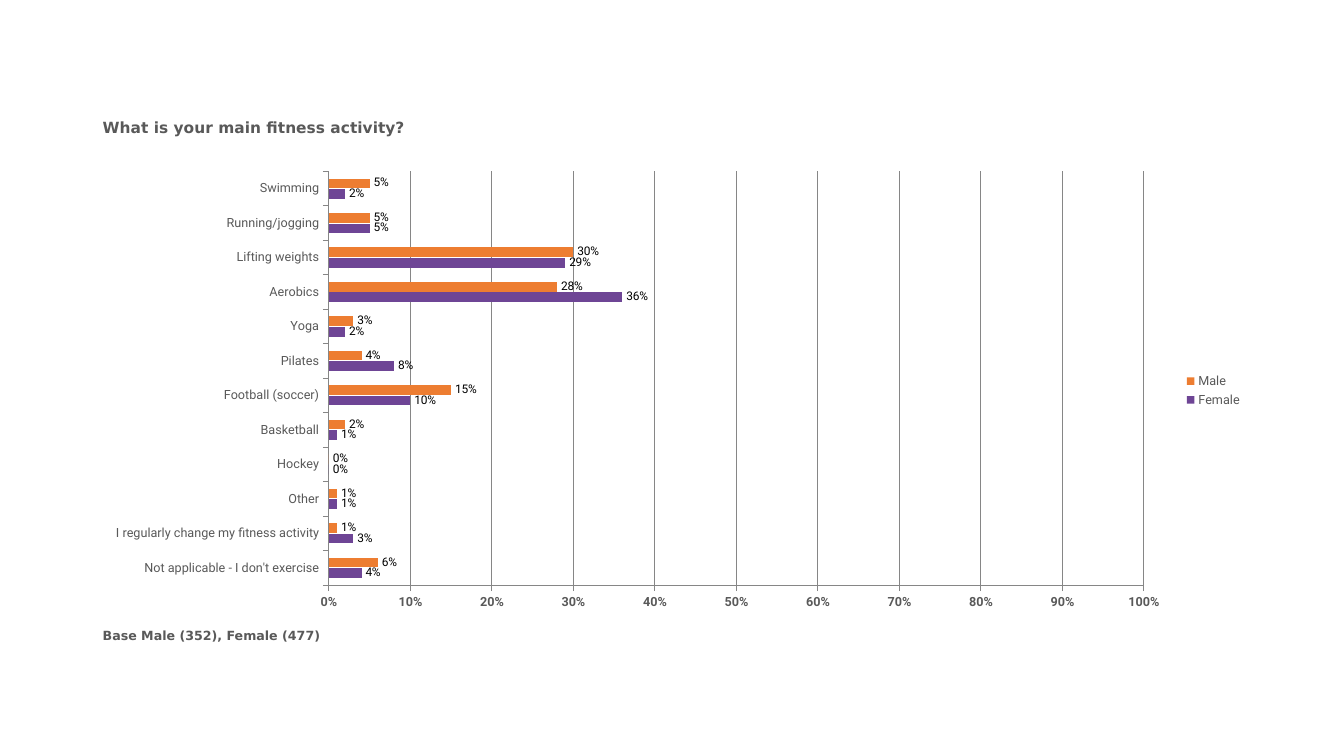
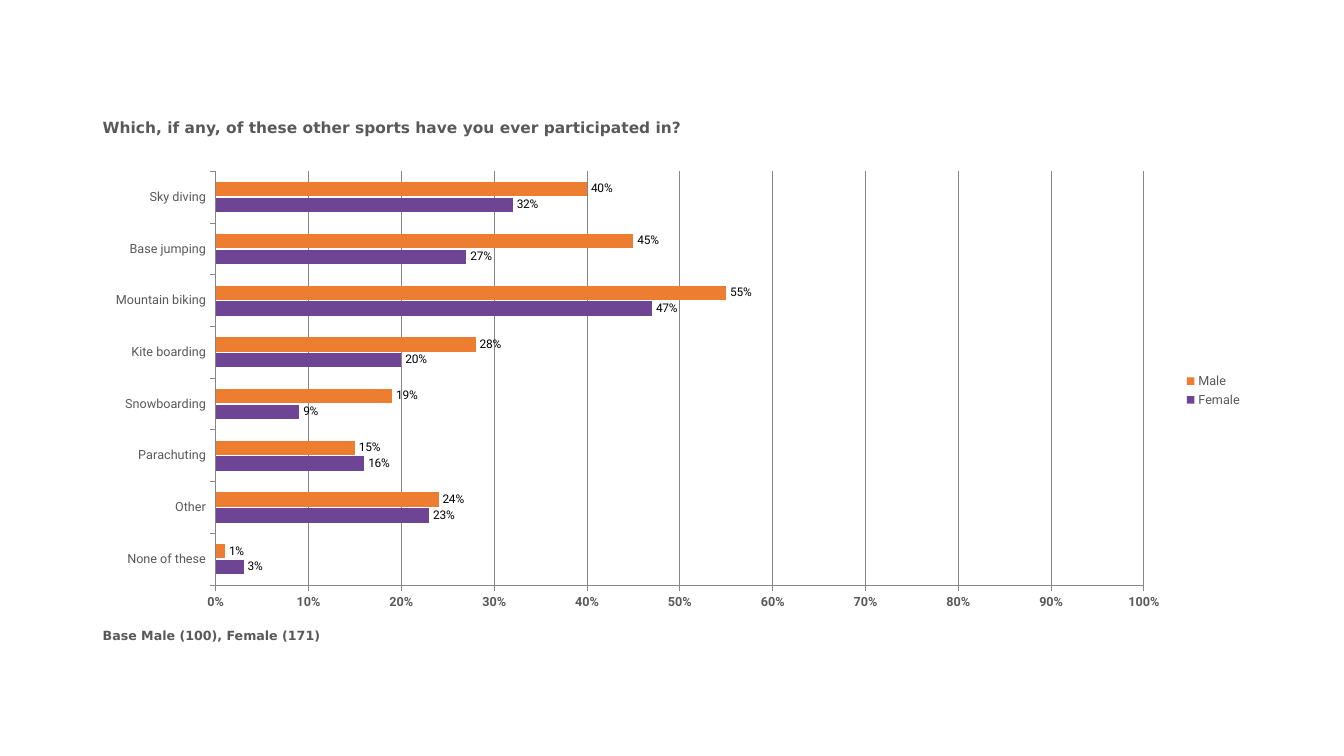
from pptx import Presentation
from pptx.chart.data import CategoryChartData
from pptx.dml.color import RGBColor
from pptx.enum.chart import (XL_CHART_TYPE, XL_LABEL_POSITION,
                             XL_LEGEND_POSITION, XL_TICK_LABEL_POSITION,
                             XL_TICK_MARK)
from pptx.util import Inches, Pt

BAR_CLUSTERED = XL_CHART_TYPE.BAR_CLUSTERED
LEGEND_RIGHT = XL_LEGEND_POSITION.RIGHT
LABELS_LOW = XL_TICK_LABEL_POSITION.LOW
OUTSIDE_END = XL_LABEL_POSITION.OUTSIDE_END
TICK_OUTSIDE = XL_TICK_MARK.OUTSIDE
TICK_NONE = XL_TICK_MARK.NONE

# Shared style
GREY = RGBColor(0x59, 0x59, 0x59)
BLACK = RGBColor(0x00, 0x00, 0x00)
LINE_GREY = RGBColor(0x86, 0x86, 0x86)
PURPLE = RGBColor(0x6E, 0x45, 0x95)
ORANGE = RGBColor(0xED, 0x7D, 0x31)
SERIES_COLORS = {"Female": PURPLE, "Male": ORANGE}

QUESTION_FONT = {"name": "DejaVu Sans", "size": Pt(11), "bold": True}
BASE_FONT = {"name": "DejaVu Sans", "size": Pt(9), "bold": True}
CHART_FONT = {"name": "Calibri", "size": Pt(18)}
AXIS_FONT = {"name": "Roboto", "size": Pt(9), "bold": False}
SCALE_FONT = {**AXIS_FONT, "bold": True}
LABEL_FONT = {"name": "Roboto", "size": Pt(8.5), "bold": False}

# Shared column
LEFT, WIDTH = Inches(0.92), Inches(11.5)

# Answers run from the bottom of each chart upwards: (answer, female %, male %)
SURVEY = [
    {
        "question": "What is your main fitness activity?",
        "base": "Base Male (352), Female (477)",
        "answers": [
            ("Not applicable - I don't exercise", 4, 6),
            ("I regularly change my fitness activity", 3, 1),
            ("Other", 1, 1),
            ("Hockey", 0, 0),
            ("Basketball", 1, 2),
            ("Football (soccer)", 10, 15),
            ("Pilates", 8, 4),
            ("Yoga", 2, 3),
            ("Aerobics", 36, 28),
            ("Lifting weights", 29, 30),
            ("Running/jogging", 5, 5),
            ("Swimming", 2, 5),
        ],
    },
    {
        "question": "Which, if any, of these other sports have you ever "
                    "participated in?",
        "base": "Base Male (100), Female (171)",
        "answers": [
            ("None of these", 3, 1),
            ("Other", 23, 24),
            ("Parachuting", 16, 15),
            ("Snowboarding", 9, 19),
            ("Kite boarding", 20, 28),
            ("Mountain biking", 47, 55),
            ("Base jumping", 27, 45),
            ("Sky diving", 32, 40),
        ],
    },
]


def apply_format(target, values):
    for name, value in values.items():
        setattr(target, name, value)


def style_font(font, values, color):
    apply_format(font, values)
    font.color.rgb = color


def style_line(line):
    line.color.rgb = LINE_GREY
    line.width = Pt(0.75)


def add_text(page, text, top, height, font):
    box = page.shapes.add_textbox(LEFT, top, WIDTH, height)
    box.text_frame.word_wrap = True
    span = box.text_frame.paragraphs[0].add_run()
    span.text = text
    style_font(span.font, font, GREY)


def style_axis(axis, font, values):
    apply_format(axis, {"major_tick_mark": TICK_OUTSIDE,
                        "minor_tick_mark": TICK_NONE,
                        "tick_label_position": LABELS_LOW, **values})
    style_font(axis.tick_labels.font, font, GREY)
    style_line(axis.format.line)


def style_series(series):
    series.format.fill.solid()
    series.format.fill.fore_color.rgb = SERIES_COLORS[series.name]
    labels = series.data_labels
    apply_format(labels, {"show_value": True, "position": OUTSIDE_END,
                          "number_format": "0%",
                          "number_format_is_linked": False})
    style_font(labels.font, LABEL_FONT, BLACK)


def add_bar_chart(page, answers):
    names, *columns = zip(*answers)
    data = CategoryChartData(number_format="0%")
    data.categories = names
    for group, percents in zip(SERIES_COLORS, columns):
        data.add_series(group, [percent / 100 for percent in percents])
    chart = page.shapes.add_chart(BAR_CLUSTERED, LEFT, Inches(1.61), WIDTH,
                                  Inches(4.53), data).chart
    chart.has_title = False
    style_font(chart.font, CHART_FONT, BLACK)

    # Bars
    apply_format(chart.plots[0], {"gap_width": 150, "overlap": -10,
                                  "vary_by_categories": False})
    for series in chart.plots[0].series:
        style_series(series)

    # Axes
    style_axis(chart.category_axis, AXIS_FONT, {"has_major_gridlines": False})
    scale = chart.value_axis
    style_axis(scale, SCALE_FONT, {"minimum_scale": 0, "maximum_scale": 1,
                                   "major_unit": 0.1,
                                   "has_major_gridlines": True})
    style_line(scale.major_gridlines.format.line)
    apply_format(scale.tick_labels, {"number_format": "0%",
                                     "number_format_is_linked": False})

    # Legend
    chart.has_legend = True
    apply_format(chart.legend, {"position": LEGEND_RIGHT,
                                "include_in_layout": False})
    style_font(chart.legend.font, AXIS_FONT, GREY)


def add_survey_page(deck, item):
    page = deck.slides.add_slide(deck.slide_layouts[6])
    add_text(page, item["question"], Inches(1.12), Inches(0.51), QUESTION_FONT)
    add_text(page, item["base"], Inches(6.18), Inches(0.43), BASE_FONT)
    add_bar_chart(page, item["answers"])


def main():
    deck = Presentation()
    deck.slide_width, deck.slide_height = Inches(13.33), Inches(7.5)
    for item in SURVEY:
        add_survey_page(deck, item)
    deck.save("out.pptx")


main()
